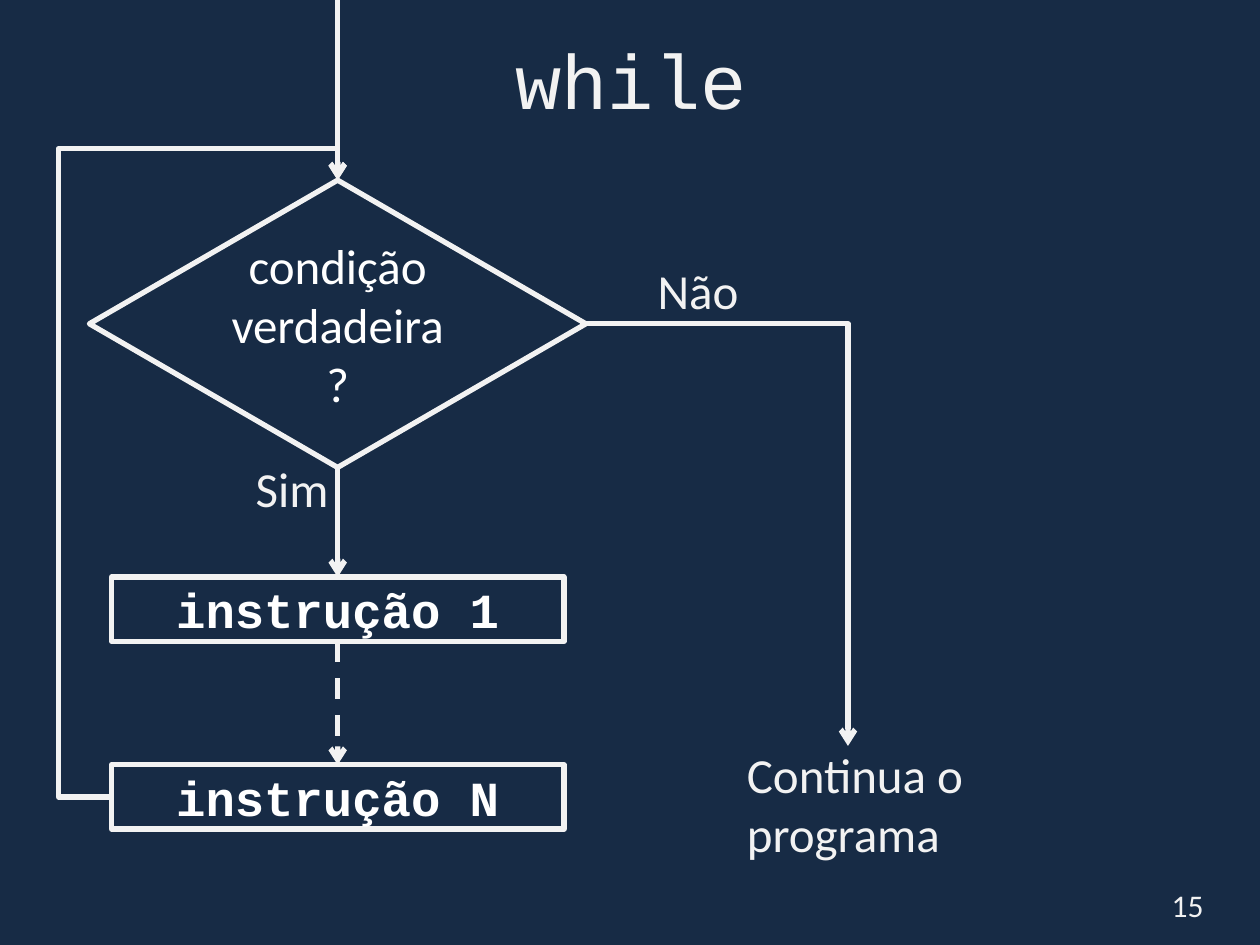
from lxml.etree import SubElement
from pptx import Presentation
from pptx.dml.color import RGBColor
from pptx.enum.dml import MSO_LINE
from pptx.enum.shapes import MSO_CONNECTOR, MSO_SHAPE
from pptx.enum.text import MSO_ANCHOR, PP_ALIGN
from pptx.oxml.ns import qn
from pptx.util import Inches, Pt

NAVY = RGBColor(0x10, 0x25, 0x3F)
LIGHT = RGBColor(0xF2, 0xF2, 0xF2)
WHITE = RGBColor(0xFF, 0xFF, 0xFF)
BODY_FONT = "Calibri"
CODE_FONT = "Courier New"


def write(shape, lines, size=28, font=BODY_FONT, color=LIGHT, bold=False,
          align=PP_ALIGN.LEFT, anchor=MSO_ANCHOR.TOP):
    frame = shape.text_frame
    frame.word_wrap = True
    frame.vertical_anchor = anchor
    for index, line in enumerate(lines):
        paragraph = frame.add_paragraph() if index else frame.paragraphs[0]
        paragraph.alignment = align
        run = paragraph.add_run()
        run.text = line
        run.font.size = Pt(size)
        run.font.name = font
        run.font.bold = bold
        run.font.color.rgb = color


def add_label(slide, box, text, **style):
    label = slide.shapes.add_textbox(*map(Inches, box))
    write(label, [text], **style)


def add_node(slide, kind, box, lines, **style):
    node = slide.shapes.add_shape(kind, *map(Inches, box))
    node.shadow.inherit = False
    node.fill.background()
    node.line.color.rgb = LIGHT
    node.line.width = Pt(3)
    write(node, lines, color=WHITE, align=PP_ALIGN.CENTER,
          anchor=MSO_ANCHOR.MIDDLE, **style)


def add_arrow(slide, start, end, kind=MSO_CONNECTOR.STRAIGHT, dashed=False):
    arrow = slide.shapes.add_connector(kind, *map(Inches, (*start, *end)))
    arrow.line.color.rgb = LIGHT
    arrow.line.width = Pt(3)
    if dashed:
        arrow.line.dash_style = MSO_LINE.DASH
    SubElement(arrow.line._get_or_add_ln(), qn("a:tailEnd"), type="arrow")
    SubElement(arrow._element.spPr, qn("a:effectLst"))
    return arrow


def add_bent_arrow(slide, start, end, preset, adjustments=()):
    arrow = add_arrow(slide, start, end, MSO_CONNECTOR.ELBOW)
    geometry = arrow._element.spPr.find(qn("a:prstGeom"))
    geometry.set("prst", preset)
    guides = geometry.find(qn("a:avLst"))
    for number, ratio in enumerate(adjustments, 1):
        SubElement(guides, qn("a:gd"), name=f"adj{number}",
                   fmla=f"val {round(ratio * 100000)}")
    return arrow


def add_background(slide, width, height):
    panel = slide.shapes.add_shape(MSO_SHAPE.RECTANGLE, 0, 0, width, height)
    panel.shadow.inherit = False
    panel.line.fill.background()
    panel.fill.solid()
    panel.fill.fore_color.rgb = NAVY
    color = panel._element.spPr.find(qn("a:solidFill"))[0]
    SubElement(color, qn("a:alpha"), val="97000")


def add_flowchart(slide, left, top):
    decision_width, decision_height = 3.94, 2.28
    step_width, step_height = 3.59, 0.51
    center = left + decision_width / 2
    middle = top + decision_height / 2
    bottom = top + decision_height
    step_left = center - step_width / 2
    first_top, last_top = top + 3.15, top + 4.64

    add_node(slide, MSO_SHAPE.FLOWCHART_DECISION,
             (left, top, decision_width, decision_height),
             ["condição verdadeira", "?"])
    for step_top, name in ((first_top, "1"), (last_top, "N")):
        add_node(slide, MSO_SHAPE.FLOWCHART_PROCESS,
                 (step_left, step_top, step_width, step_height),
                 [f"instrução {name}"], font=CODE_FONT, bold=True)

    add_label(slide, (center - 0.75, bottom - 0.12, 0.82, 0.57), "Sim")
    add_label(slide, (left + 4.41, top + 0.59, 0.99, 0.57), "Não")
    add_label(slide, (left + 5.12, top + 4.43, 2.28, 1.04), "Continua o programa")

    add_arrow(slide, (center, top - 1.74), (center, top))
    add_arrow(slide, (center, bottom), (center, first_top))
    add_arrow(slide, (center, first_top + step_height), (center, last_top), dashed=True)

    loop = add_bent_arrow(slide, (step_left, last_top + step_height / 2),
                          (center, top), "bentConnector4", (-0.235, 1.051))
    transform = loop._element.spPr.find(qn("a:xfrm"))
    transform.attrib.pop("flipV", None)
    transform.set("rot", "10800000")
    transform.set("flipH", "1")
    add_bent_arrow(slide, (left + decision_width, middle),
                   (left + 6.02, top + 4.49), "bentConnector2")


presentation = Presentation()
presentation.slide_width = Inches(10)
presentation.slide_height = Inches(7.5)
slide = presentation.slides.add_slide(presentation.slide_layouts[6])
add_background(slide, presentation.slide_width, presentation.slide_height)
add_label(slide, (7.76, 6.98, 1.89, 0.4), "15", size=18, align=PP_ALIGN.RIGHT)
add_label(slide, (0.51, 0, 9, 1.25), "while", size=44, font=CODE_FONT,
          align=PP_ALIGN.CENTER, anchor=MSO_ANCHOR.MIDDLE)
add_flowchart(slide, 0.71, 1.43)
presentation.save("out.pptx")
